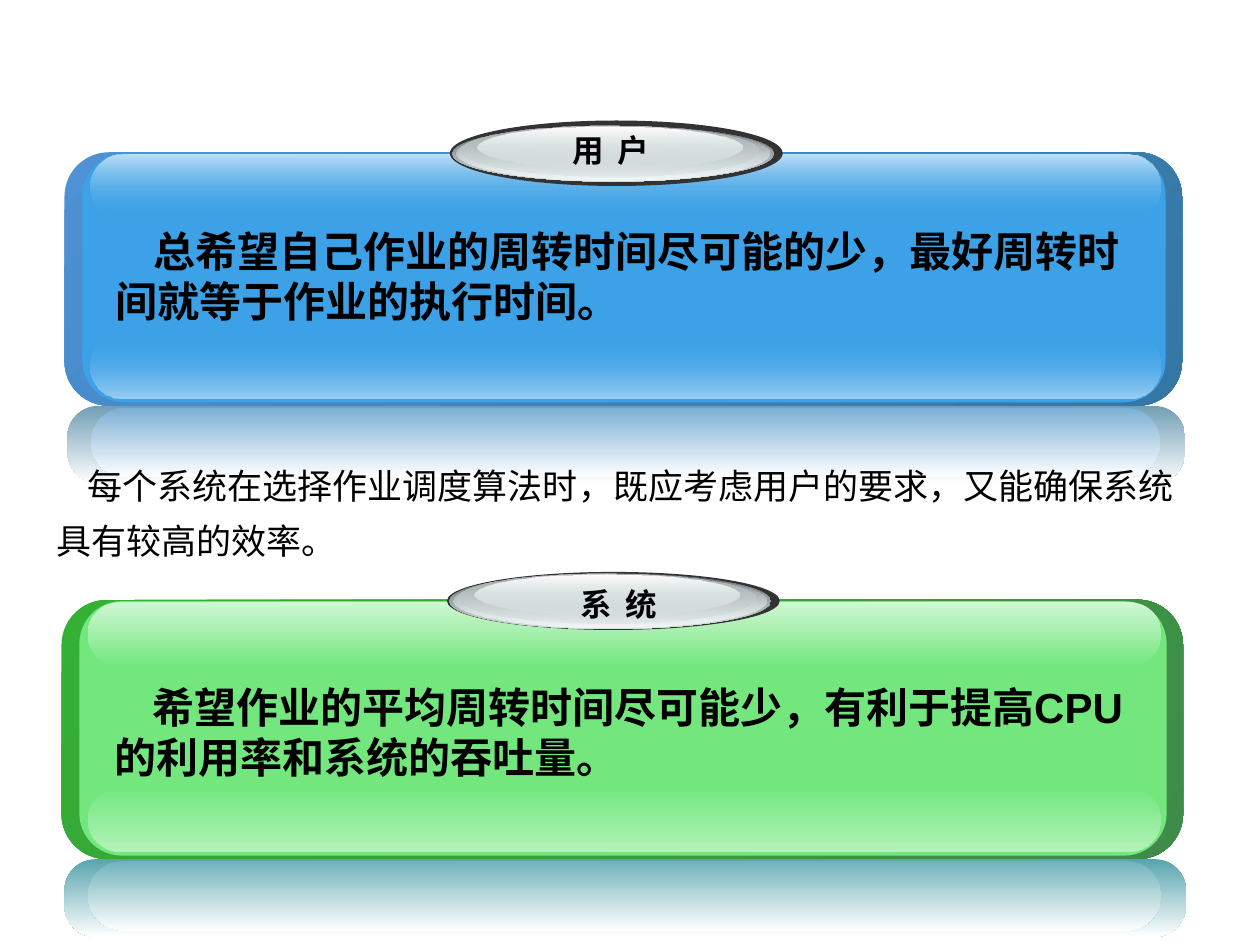
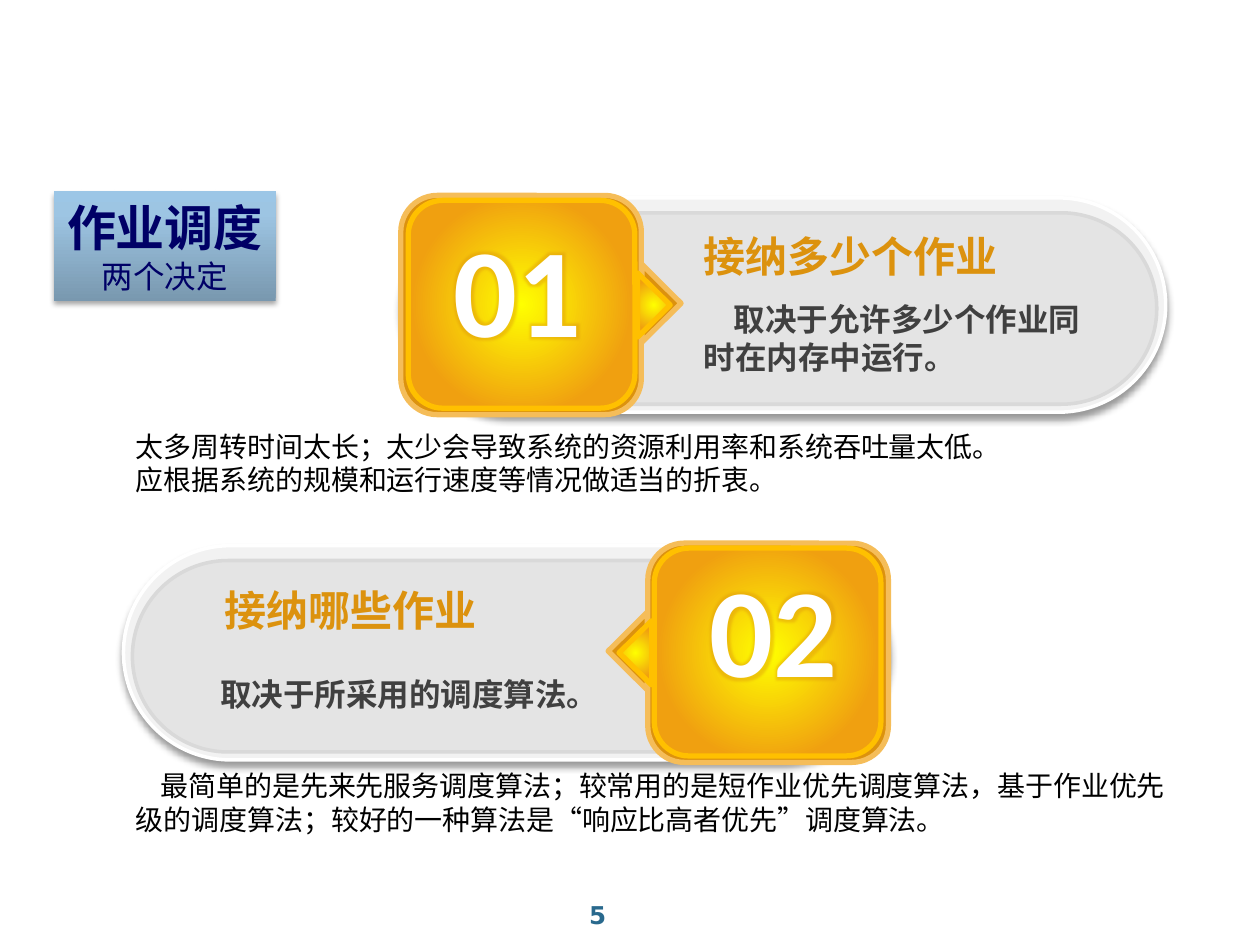
from dataclasses import dataclass

from lxml import etree
from pptx import Presentation
from pptx.dml.color import RGBColor
from pptx.enum.shapes import MSO_SHAPE
from pptx.enum.text import MSO_ANCHOR, PP_ALIGN
from pptx.oxml.ns import qn
from pptx.util import Cm, Pt

ROUND, OVAL = MSO_SHAPE.ROUNDED_RECTANGLE, MSO_SHAPE.OVAL
RECT, TRIANGLE = MSO_SHAPE.RECTANGLE, MSO_SHAPE.ISOSCELES_TRIANGLE
LEFT, CENTER = PP_ALIGN.LEFT, PP_ALIGN.CENTER
MIDDLE = MSO_ANCHOR.MIDDLE


@dataclass(frozen=True)
class Theme:
    # Fonts
    body: str = "Arial"
    display: str = "Calibri"
    prose: str = "Noto Sans CJK SC"
    footer: str = "DejaVu Sans"
    # Type sizes
    number: int = 72
    topic: int = 28
    heading: int = 24
    lead: int = 20
    label: int = 18
    note: int = 16
    page: int = 14
    # Colours
    black: str = "000000"
    white: str = "FFFFFF"
    grey_text: str = "404040"
    page_blue: str = "29698D"
    navy: str = "000066"
    rim: str = "333333"
    silver: str = "D6E1E2"
    pill: str = "F2F2F2"
    pill_face: str = "E4E4E4"
    pill_edge: str = "D9D9D9"
    amber: str = "DC920E"
    amber_face: str = "F0A010"
    amber_edge: str = "F5BD59"
    gold: str = "FFC000"
    yellow: str = "FFFF00"


@dataclass(frozen=True)
class PanelColours:
    edge: tuple
    face: str
    top: str
    bottom: str
    strip_alpha: int
    reflection: str
    sheen: str


THEME = Theme()
BLUE = PanelColours(("4E91D4", "3477A4"), "3CA1E6", "BEE0F7", "9BCFF2", 0,
                    "729EB4", "7DAFD4")
GREEN = PanelColours(("34B034", "3F8B4A"), "73E77E", "D0F7D4", "B3F2B9", 100,
                     "58A4AE", "72B2BB")


def add_xml(parent, tag, **attributes):
    return etree.SubElement(parent, qn(f"a:{tag}"),
                            {key: str(value) for key, value in attributes.items()})


def add_colour(parent, colour, alpha=100):
    node = add_xml(parent, "srgbClr", val=colour)
    if alpha < 100:
        add_xml(node, "alpha", val=alpha * 1000)


@dataclass(frozen=True)
class Gradient:
    """Stops are (position, colour) or (position, colour, alpha), in percent."""
    stops: tuple
    angle: int = 90
    radial: bool = False

    def apply(self, shape):
        gradient = etree.Element(qn("a:gradFill"), rotWithShape="1")
        stop_list = add_xml(gradient, "gsLst")
        for position, *colour in self.stops:
            add_colour(add_xml(stop_list, "gs", pos=position * 1000), *colour)
        if self.radial:
            centre = add_xml(gradient, "path", path="circle")
            add_xml(centre, "fillToRect", l=50000, t=50000, r=50000, b=50000)
        else:
            add_xml(gradient, "lin", ang=self.angle * 60000, scaled=0)
        shape._element.spPr.find(qn("a:prstGeom")).addnext(gradient)


def fade(start, end, start_alpha=100, end_alpha=100, angle=90):
    return Gradient(((0, start, start_alpha), (100, end, end_alpha)), angle)


def glow(edge, reach):
    return Gradient(((0, THEME.yellow), (reach, edge)), radial=True)


class Deck:
    """Holds the theme and the slide being drawn."""

    def __init__(self, theme):
        self.theme = theme
        self.file = Presentation()
        self.file.slide_width, self.file.slide_height = Cm(25.4), Cm(19.05)
        self.slide = None

    def new_slide(self):
        self.slide = self.file.slides.add_slide(self.file.slide_layouts[6])

    def shape(self, kind, box, fill, corner=None, line=None, shadow=None, turn=0):
        shape = self.slide.shapes.add_shape(kind, *map(Cm, box))
        shape.shadow.inherit = False
        shape.rotation = turn
        if corner is not None:
            shape.adjustments[0] = corner
        if isinstance(fill, Gradient):
            fill.apply(shape)
        else:
            shape.fill.solid()
            shape.fill.fore_color.rgb = RGBColor.from_string(fill)
        if line:
            colour, width = line
            shape.line.color.rgb = RGBColor.from_string(colour)
            shape.line.width = Pt(width)
        else:
            shape.line.fill.background()
        if shadow:
            alpha, blur, distance = shadow
            effects = shape._element.spPr.find(qn("a:effectLst"))
            outer = add_xml(effects, "outerShdw", blurRad=Pt(blur), dist=Pt(distance),
                            dir=90 * 60000, algn="t", rotWithShape=0)
            add_colour(outer, self.theme.black, alpha)
        return shape

    def style(self, paragraph, size, colour, font, bold, align=LEFT):
        paragraph.alignment = align
        for run in paragraph.runs:
            run.font.size, run.font.name, run.font.bold = Pt(size), font, bold
            run.font.color.rgb = RGBColor.from_string(colour)

    def text(self, box, words, size, colour, font=THEME.body, bold=True,
             align=LEFT, indent=0, spacing=None):
        frame = self.slide.shapes.add_textbox(*map(Cm, box)).text_frame
        frame.word_wrap = True
        frame.text = words
        for paragraph in frame.paragraphs:
            if indent:
                paragraph._p.get_or_add_pPr().set("indent", str(Cm(indent)))
            if spacing:
                paragraph.line_spacing = spacing
            self.style(paragraph, size, colour, font, bold, align)
        return frame

    def page_number(self, number):
        self.text((9.09, 18.01, 5.92, 0.81), number, self.theme.page,
                  self.theme.page_blue, self.theme.footer, align=CENTER)

    def glass_panel(self, box, colours, rim_top, rim_height):
        """A glossy panel with its reflection and a silver oval for the label."""
        left, top, width, height = box
        strip = width - 0.97
        layers = (
            (0, 0, width, height, 0.175, fade(*colours.edge, angle=45)),
            (0.36, 0.03, width - 0.69, height - 0.1, 0.167, colours.face),
            (0.53, height - 1.43, strip, 1.28, 0.5,
             fade(colours.face, colours.bottom, start_alpha=colours.strip_alpha)),
            (0.53, 0.05, strip, 1.28, 0.5,
             fade(colours.top, colours.face, end_alpha=colours.strip_alpha)),
            (0.06, height, width, 1.57, 0.404, fade(colours.reflection, THEME.white)),
            (0.53, height + 0.04, strip, 1.4, 0.5, fade(colours.sheen, THEME.white)),
        )
        for dx, dy, w, h, corner, fill in layers:
            self.shape(ROUND, (left + dx, top + dy, w, h), fill, corner)

        silver = self.theme.silver
        ovals = (
            (7.77, rim_top, 6.71, rim_height, self.theme.rim),
            (7.82, -0.53, 6.48, 1.12, fade("636869", silver)),
            (7.9, -0.53, 6.32, 1.09, fade(silver, "F1F5F5", start_alpha=0)),
            (7.98, -0.53, 6.02, 1.02, fade("AAB2B3", silver, end_alpha=48)),
            (8.33, -0.51, 5.33, 0.81, fade(THEME.white, silver, end_alpha=38)),
        )
        for dx, dy, w, h, fill in ovals:
            self.shape(OVAL, (left + dx, top + dy, w, h), fill)

    def panel_text(self, label_box, label, body_box, body):
        black = self.theme.black
        frame = self.text(label_box, label, self.theme.label, black, align=CENTER)
        frame.paragraphs[0].runs[0].font._element.set("spc", "200")
        self.text(body_box, body, self.theme.heading, black, indent=0.76)

    def number_card(self, left, top, mirrored):
        """A pill with a numbered badge at its left end, or right if mirrored."""
        t = self.theme
        width, height = 15.42, 4.32
        outer_glow, inner_glow = glow(t.amber, 71), glow(t.amber_face, 72)
        outer_line, inner_line = (t.amber_edge, 3), (t.gold, 3)
        layers = (
            (ROUND, 0, 0, width, height, t.pill, 0.5, (t.white, 2), (40, 4, 3)),
            (ROUND, 1.45, 0.3, 13.79, 3.86, t.pill_face, 0.5, (t.pill_edge, 2), None),
            (ROUND, 0, -0.05, 4.85, 4.42, outer_glow, None, outer_line, None),
            (ROUND, 0.15, 0.05, 4.57, 4.19, inner_glow, None, inner_line, None),
            (TRIANGLE, 4.47, 1.73, 1.57, 0.79, t.amber, None, outer_line, None),
            (TRIANGLE, 4.45, 1.83, 1.3, 0.66, inner_glow, None, inner_line, None),
        )
        for kind, dx, dy, w, h, fill, corner, line, shadow in layers:
            x = width - dx - w if mirrored else dx
            turn = 0 if kind == ROUND else 270 if mirrored else 90
            self.shape(kind, (left + x, top + dy, w, h), fill, corner, line, shadow, turn)

    def card_text(self, number_at, number, heading_at, heading, body_at, body, indent):
        t = self.theme
        self.text((*heading_at, 8.18, 1.07), heading, t.heading, t.amber, t.display,
                  spacing=0.8)
        self.text((*body_at, 8.41, 1.8), body, t.label, t.grey_text, indent=indent)
        frame = self.text((*number_at, 3.81, 2.72), number, t.number, t.white,
                          t.display, align=CENTER, spacing=0.8)
        # Soft amber halo around the digits
        properties = frame.paragraphs[0].runs[0].font._element
        effects = etree.Element(qn("a:effectLst"))
        add_colour(add_xml(effects, "glow", rad=Pt(5)), t.amber, 40)
        properties.find(qn("a:solidFill")).addnext(effects)

    def note(self, top, words, indent=0):
        self.text((2.49, top, 21.79, 1.63), words, self.theme.note,
                  self.theme.black, bold=False, indent=indent)

    def topic(self, box, title, subtitle):
        t = self.theme
        backdrop = Gradient(((0, "7998AF"), (80, "9DC5E3"), (100, "9CC6E6")), 270)
        frame = self.shape(RECT, box, backdrop, shadow=(35, 3.1, 1.8)).text_frame
        frame.word_wrap = False
        frame.vertical_anchor = MIDDLE
        frame.text = f"{title}\n{subtitle}"
        heading, detail = frame.paragraphs
        self.style(heading, t.topic, t.navy, t.body, True, CENTER)
        self.style(detail, t.label, t.navy, t.body, False, CENTER)


def scheduling_goals(deck):
    deck.new_slide()
    # What users want
    deck.glass_panel((1.3, 3.07, 22.53, 5.11), BLUE, -0.64, 1.32)
    deck.panel_text((11.18, 2.51, 2.26, 1.02), "用 户", (2.08, 4.42, 21.44, 2.31),
                    "总希望自己作业的周转时间尽可能的少，最好周转时间就等于作业的执行时间。")
    # What the system wants
    deck.glass_panel((1.24, 12.09, 22.61, 5.23), GREEN, -0.56, 1.17)
    deck.panel_text((11, 11.66, 2.95, 1.02), "系 统", (2.06, 13.61, 21.49, 2.31),
                    "希望作业的平均周转时间尽可能少，有利于提高CPU 的利用率和系统的吞吐量。")
    # The balance between them
    deck.text((0.89, 8.99, 23.29, 2.31),
              "每个系统在选择作业调度算法时，既应考虑用户的要求，又能确保系统具有较高的效率。",
              THEME.lead, THEME.black, THEME.prose, bold=False, indent=0.62, spacing=1.3)


def two_decisions(deck):
    deck.new_slide()
    deck.page_number("5")
    # First decision
    deck.number_card(8.08, 3.99, mirrored=False)
    deck.card_text((8.53, 4.72), "01", (13.94, 4.72), "接纳多少个作业",
                   (13.94, 5.92), "取决于允许多少个作业同时在内存中运行。", 0.6)
    # Second decision
    deck.number_card(2.49, 11, mirrored=True)
    deck.card_text((13.69, 11.58), "02", (4.27, 11.86), "接纳哪些作业",
                   (3.89, 13.49), "取决于所采用的调度算法。", 0.3)
    # Explanations under the cards
    deck.note(8.53, "太多周转时间太长；太少会导致系统的资源利用率和系统吞吐量太低。\n"
                    "应根据系统的规模和运行速度等情况做适当的折衷。")
    deck.note(15.37, "最简单的是先来先服务调度算法；较常用的是短作业优先调度算法，"
                     "基于作业优先级的调度算法；较好的一种算法是“响应比高者优先”调度算法。",
              indent=0.5)
    deck.topic((1.09, 3.86, 4.47, 2.21), "作业调度", "两个决定")


def main():
    deck = Deck(THEME)
    scheduling_goals(deck)
    two_decisions(deck)
    deck.file.save("out.pptx")


if __name__ == "__main__":
    main()
